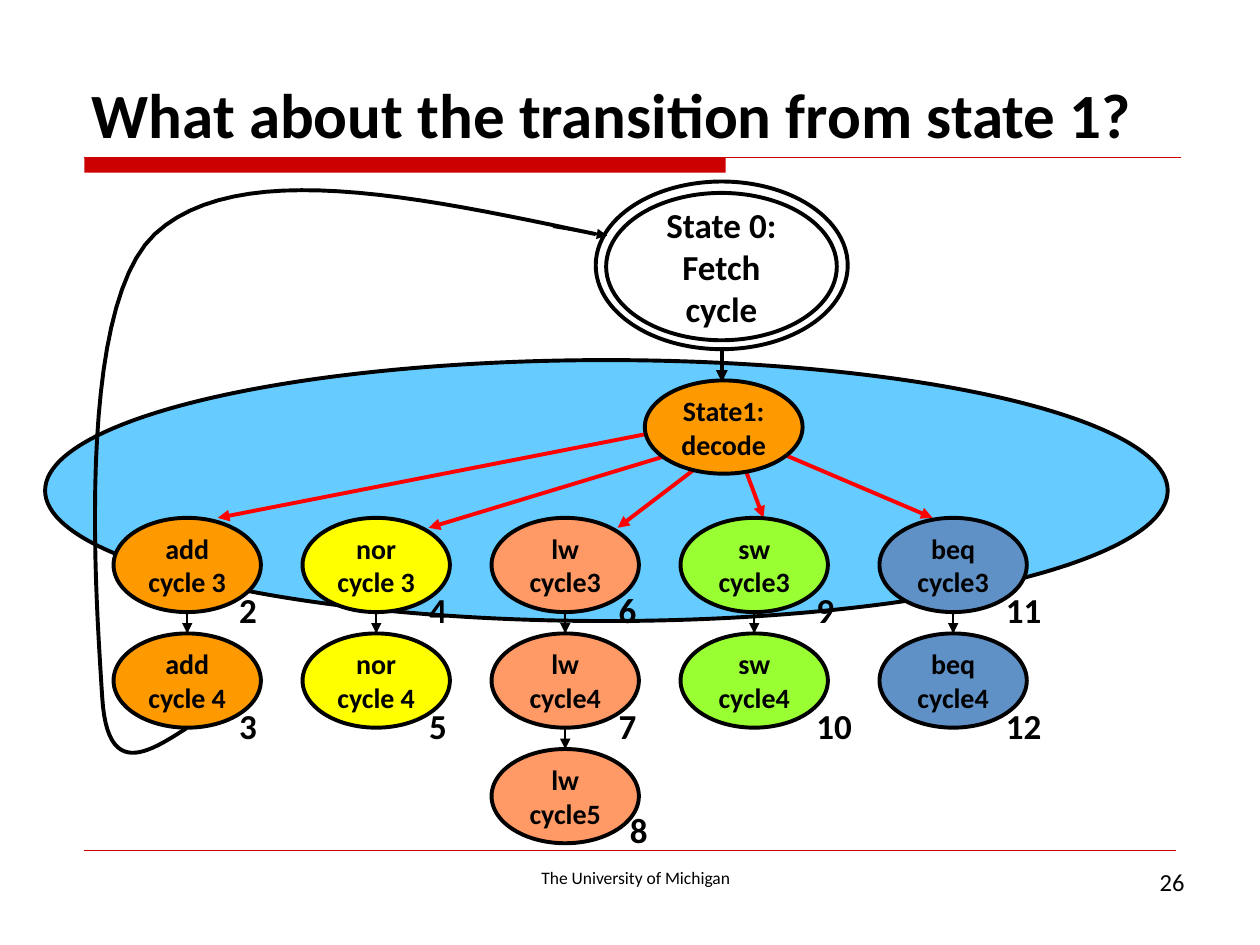
from lxml.etree import SubElement
from pptx import Presentation
from pptx.dml.color import RGBColor
from pptx.enum.shapes import MSO_CONNECTOR, MSO_SHAPE
from pptx.enum.text import MSO_ANCHOR, PP_ALIGN
from pptx.oxml.ns import qn
from pptx.util import Cm, Pt

BLACK, RED, CRIMSON = "000000", "FF0000", "CC0000"
NODE_WIDTH, NODE_HEIGHT = 2.97, 1.9
ROW_TOP, ROW_PITCH = 10.44, 2.33
INSTRUCTIONS = [
    (2.29, "FF9900", "add", "cycle ", ["2", "3"], 2.28),
    (6.1, "FFFF00", "nor", "cycle ", ["4", "5"], 2.3),
    (9.91, "FF9966", "lw", "cycle", ["6", "7", "8"], 2.31),
    (13.72, "99FF33", "sw", "cycle", ["9", "10"], 2.49),
    (17.73, "5F91C7", "beq", "cycle", ["11", "12"], 2.3),
]
DECODE_ARROWS = [
    (13.08, 8.74, 4.39, 10.44),
    (13.49, 9.17, 8.64, 10.64),
    (14.12, 9.37, 12.45, 10.64),
    (14.99, 9.37, 15.39, 10.44),
    (15.82, 9.17, 18.8, 10.44),
]
RETURN_START = (3.76, 14.68)
RETURN_CURVES = [
    [(2.97, 15.19), (2.16, 15.7), (2.06, 14.05)],
    [(1.96, 12.37), (1.47, 6.27), (3.12, 4.72)],
    [(4.78, 3.18), (8.41, 3.96), (12.01, 4.72)],
]


def color(value):
    """Turn a hex string into a colour."""
    return RGBColor.from_string(value)


def bezier(points, t):
    """Return the point at t on a cubic curve."""
    weights = ((1 - t) ** 3, 3 * t * (1 - t) ** 2, 3 * t * t * (1 - t), t ** 3)
    return tuple(sum(w * p[axis] for w, p in zip(weights, points)) for axis in (0, 1))


class Diagram:
    """Draw state diagram elements on a slide in one style."""

    def __init__(self, slide, font="Calibri", weight=2.25):
        self.slide, self.font, self.weight = slide, font, weight

    def fill_text(self, shape, text, size, bold, align):
        frame = shape.text_frame
        frame.text = text
        for paragraph in frame.paragraphs:
            paragraph.alignment = align
            for run in paragraph.runs:
                run.font.name, run.font.size, run.font.bold = self.font, Pt(size), bold
                run.font.color.rgb = color(BLACK)

    def text(self, text, left, top, width, height, size, bold=False,
             align=PP_ALIGN.LEFT, anchor=MSO_ANCHOR.TOP, wrap=True):
        box = self.slide.shapes.add_textbox(Cm(left), Cm(top), Cm(width), Cm(height))
        box.text_frame.word_wrap = wrap
        box.text_frame.vertical_anchor = anchor
        self.fill_text(box, text, size, bold, align)

    def ellipse(self, left, top, width, height, fill=None, text=None, size=16):
        shape = self.slide.shapes.add_shape(
            MSO_SHAPE.OVAL, Cm(left), Cm(top), Cm(width), Cm(height))
        self.outline(shape)
        if fill:
            shape.fill.solid()
            shape.fill.fore_color.rgb = color(fill)
        if text:
            frame = shape.text_frame
            frame.word_wrap = True
            frame.margin_left = frame.margin_right = Cm(0.2)
            frame.vertical_anchor = MSO_ANCHOR.MIDDLE
            self.fill_text(shape, text, size, True, PP_ALIGN.CENTER)

    def outline(self, shape):
        shape.shadow.inherit = False
        shape.fill.background()
        shape.line.color.rgb = color(BLACK)
        shape.line.width = Pt(self.weight)

    def bar(self, left, top, width, height, fill):
        shape = self.slide.shapes.add_shape(
            MSO_SHAPE.RECTANGLE, Cm(left), Cm(top), Cm(width), Cm(height))
        shape.shadow.inherit = False
        shape.fill.solid()
        shape.fill.fore_color.rgb = color(fill)
        shape.line.fill.background()

    def line(self, x1, y1, x2, y2, stroke=BLACK, weight=None, arrow=True):
        connector = self.slide.shapes.add_connector(
            MSO_CONNECTOR.STRAIGHT, Cm(x1), Cm(y1), Cm(x2), Cm(y2))
        connector.line.color.rgb = color(stroke)
        connector.line.width = Pt(weight or self.weight)
        properties = connector.element.spPr
        if arrow:
            SubElement(properties.find(qn("a:ln")), qn("a:tailEnd"), type="triangle")
        SubElement(properties, qn("a:effectLst"))

    def curve(self, start, segments, steps=24):
        points, origin = [], start
        for segment in segments:
            controls = [origin, *segment]
            points += [bezier(controls, step / steps) for step in range(1, steps + 1)]
            origin = segment[-1]
        builder = self.slide.shapes.build_freeform(Cm(start[0]), Cm(start[1]))
        builder.add_line_segments([(Cm(x), Cm(y)) for x, y in points], close=False)
        self.outline(builder.convert_to_shape())


def draw_frame(diagram):
    """Draw the title, rules and footer."""
    diagram.bar(1.7, 3.18, 12.93, 0.3, CRIMSON)
    diagram.line(1.7, 3.18, 23.8, 3.18, CRIMSON, 0.75, arrow=False)
    diagram.line(1.7, 17.15, 23.7, 17.15, CRIMSON, 0.25, arrow=False)
    diagram.text("The University of Michigan", 8.05, 17.35, 9.53, 0.69, 10,
                 align=PP_ALIGN.CENTER)
    diagram.text("26", 18.21, 17.35, 5.92, 1.32, 14, align=PP_ALIGN.RIGHT)
    diagram.text("What about the transition from state 1?", 1.6, 0.84, 22.23, 2.34,
                 36, bold=True, anchor=MSO_ANCHOR.BOTTOM)


def draw_instructions(diagram):
    """Draw each instruction's column of cycles, arrows and state numbers."""
    for left, fill, name, word, numbers, _ in INSTRUCTIONS:
        for row in range(len(numbers)):
            diagram.ellipse(left, ROW_TOP + row * ROW_PITCH, NODE_WIDTH, NODE_HEIGHT,
                            fill, f"{name}\n{word}{row + 3}")
    for left, _, _, _, numbers, offset in INSTRUCTIONS:
        center = left + NODE_WIDTH / 2
        for row, number in enumerate(numbers):
            top = ROW_TOP + row * ROW_PITCH
            if row:
                diagram.line(center, top - ROW_PITCH + NODE_HEIGHT, center, top, weight=1)
            shift_x, shift_y = (2.54, 1.07) if row == 2 else (offset, 1.3)
            diagram.text(number, left + shift_x, top + shift_y,
                         0.48 + 0.38 * len(number), 1.12, 20, bold=True, wrap=False)


def main():
    """Build the slide and save it."""
    presentation = Presentation()
    presentation.slide_width, presentation.slide_height = Cm(25.4), Cm(19.05)
    slide = presentation.slides.add_slide(presentation.slide_layouts[6])
    diagram = Diagram(slide)
    draw_frame(diagram)
    diagram.ellipse(0.91, 7.26, 22.63, 5.26, "66CCFF")
    diagram.line(14.55, 7.06, 14.55, 7.7)
    diagram.curve(RETURN_START, RETURN_CURVES)
    for arrow in DECODE_ARROWS:
        diagram.line(*arrow, stroke=RED)
    draw_instructions(diagram)
    diagram.ellipse(13, 7.67, 3.18, 1.88, "FF9900", "State1:\ndecode")
    diagram.ellipse(12.22, 3.89, 4.65, 2.97, text="State 0:\nFetch cycle", size=20)
    diagram.ellipse(12.01, 3.66, 5.08, 3.38)
    diagram.line(11.15, 4.57, 12.24, 4.75, weight=1.5)
    presentation.save("out.pptx")


if __name__ == "__main__":
    main()
